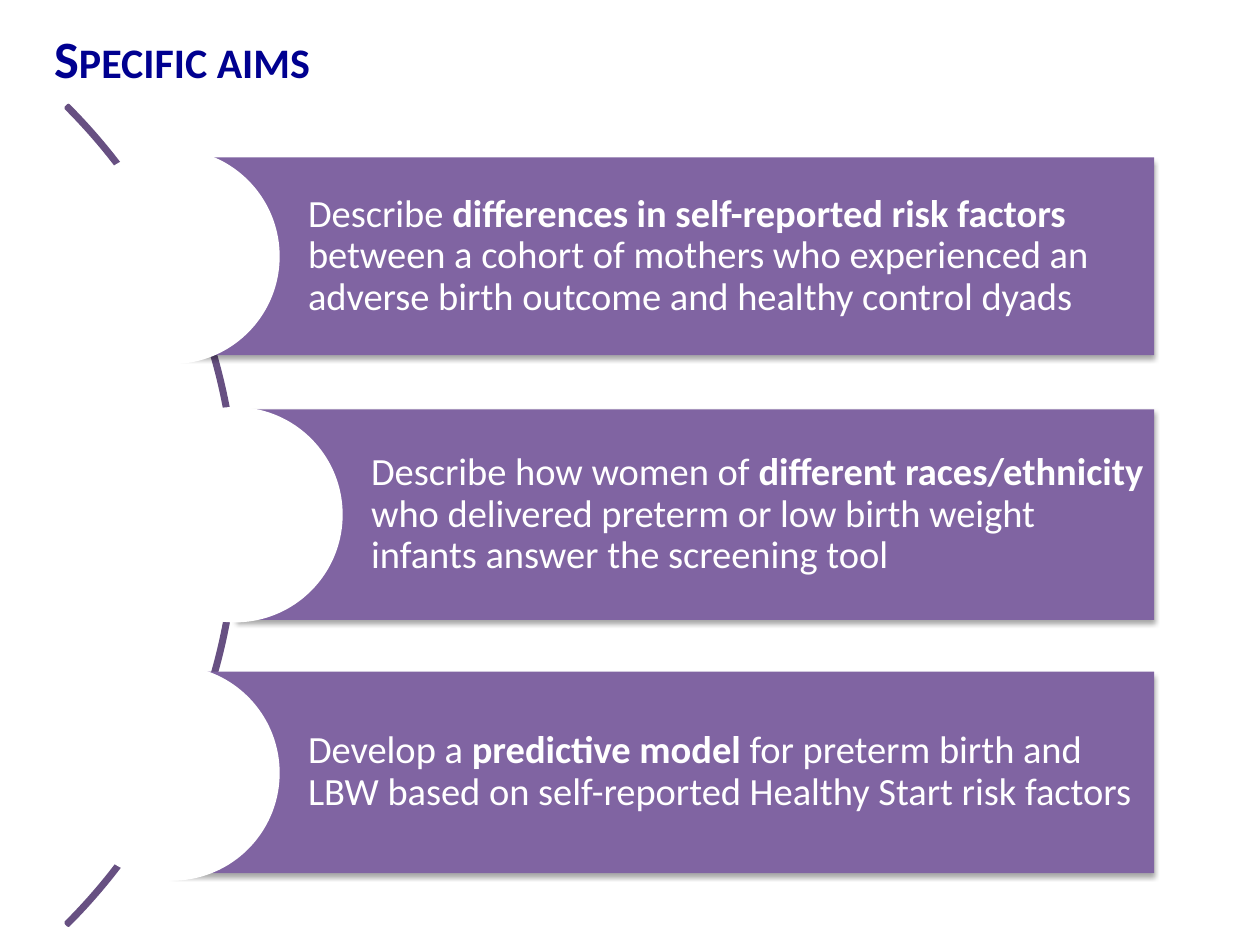
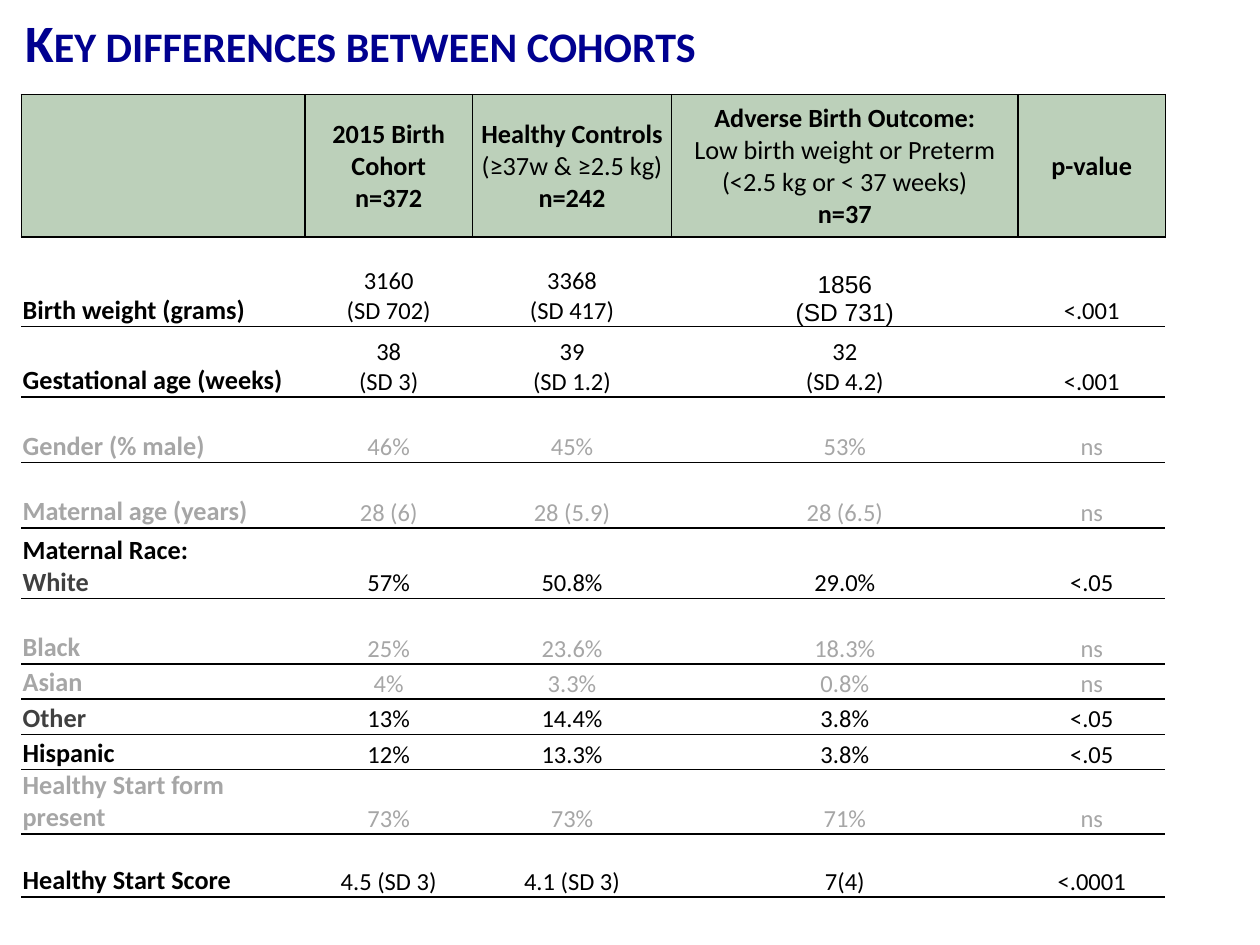
from lxml import etree
from pptx import Presentation
from pptx.dml.color import RGBColor
from pptx.enum.shapes import MSO_SHAPE
from pptx.enum.text import MSO_ANCHOR, PP_ALIGN
from pptx.oxml import parse_xml
from pptx.oxml.ns import nsdecls, qn
from pptx.util import Inches, Pt

ARC, RECT, DISC = MSO_SHAPE.BLOCK_ARC, MSO_SHAPE.RECTANGLE, MSO_SHAPE.OVAL
MIDDLE, BOTTOM = MSO_ANCHOR.MIDDLE, MSO_ANCHOR.BOTTOM
LEFT, CENTER = PP_ALIGN.LEFT, PP_ALIGN.CENTER

COLORS = {
    "navy": "000090", "plum": "8064A2", "arc": "675082", "sage": "BCD0BA",
    "white": "FFFFFF", "black": "000000", "dark": "404040", "grey": "A6A6A6",
}
TITLE = {"name": "Calibri", "size": Pt(30), "bold": True}
BODY = {"name": "Calibri", "size": Pt(22)}
LABEL = {"name": "Calibri", "size": Pt(15), "bold": True}
HEAD = {"name": "Calibri", "size": Pt(15)}
VALUE = {"name": "Calibri", "size": Pt(14)}

# Text between asterisks is bold.
AIMS = [  # disc left, band top, band height, text
    (0.51, 1.25, 1.57, "Describe *differences in self-reported risk factors *between a cohort "
     "of mothers who experienced an adverse birth outcome and healthy control dyads"),
    (1.01, 3.25, 1.67, "Describe how women of *different races/ethnicity *who delivered "
     "preterm or low birth weight infants answer the screening tool"),
    (0.51, 5.33, 1.6, "Develop a *predictive model *for preterm birth and LBW based on "
     "self-reported Healthy Start risk factors"),
]
DISC_TOP, DISC_STEP, DISC_SIZE, BAND_END = 1.18, 2.05, 1.71, 9.16

COLS = [2.25, 1.33, 1.58, 2.75, 1.17]
HEADS = [
    "",
    "*2015 Birth Cohort*\n*n=372*",
    "*Healthy Controls*\n(≥37w & ≥2.5 kg)\n*n=242*",
    "*Adverse Birth Outcome:*\nLow birth weight or Preterm\n(<2.5 kg or < 37 weeks)\n*n=37*",
    "*p-value*",
]
HEAD_TALL = 1.13
ROWS = [  # height, label, colour of the label, values
    (0.71, "Birth weight (grams)", "black",
     ["3160\n(SD 702)", "3368\n(SD 417)", "1856\n(SD 731)", "<.001"]),
    (0.56, "Gestational age (weeks)", "black",
     ["38\n(SD 3)", "39\n(SD 1.2)", "32\n(SD 4.2)", "<.001"]),
    (0.52, "Gender (% male)", "grey", ["46%", "45%", "53%", "ns"]),
    (0.52, "Maternal age (years)", "grey", ["28 (6)", "28 (5.9)", "28 (6.5)", "ns"]),
    (0.56, "Maternal Race:\nWhite", "dark", ["57%", "50.8%", "29.0%", "<.05"]),
    (0.52, "Black", "grey", ["25%", "23.6%", "18.3%", "ns"]),
    (0.28, "Asian", "grey", ["4%", "3.3%", "0.8%", "ns"]),
    (0.28, "Other", "dark", ["13%", "14.4%", "3.8%", "<.05"]),
    (0.28, "Hispanic", "black", ["12%", "13.3%", "3.8%", "<.05"]),
    (0.51, "Healthy Start form present", "grey", ["73%", "73%", "71%", "ns"]),
    (0.5, "Healthy Start Score", "black", ["4.5 (SD 3)", "4.1 (SD 3)", "7(4)", "<.0001"]),
]


def color(name):
    return RGBColor.from_string(COLORS[name])


def apply(target, values):
    for key, value in values.items():
        setattr(target, key, value)


def margins(*sides):
    names = ("margin_left", "margin_top", "margin_right", "margin_bottom")
    return {name: Inches(side) for name, side in zip(names, sides)}


def write(frame, text, style, tone, align=LEFT):
    """Fill a frame, one paragraph a line, with bold text between asterisks."""
    for i, line in enumerate(text.split("\n")):
        para = frame.paragraphs[0] if i == 0 else frame.add_paragraph()
        para.alignment = align
        for j, part in enumerate(line.split("*")):
            if part:
                run = para.add_run()
                run.text = part
                apply(run.font, {"bold": j % 2 == 1, **style})
                run.font.color.rgb = color(tone)


def add_slide(deck, title, left, top, width, height):
    slide = deck.slides.add_slide(deck.slide_layouts[5])
    box = slide.shapes.title
    apply(box, {"left": Inches(left), "top": Inches(top),
                "width": Inches(width), "height": Inches(height)})
    apply(box.text_frame, {"vertical_anchor": MIDDLE, "word_wrap": True})
    write(box.text_frame, title, TITLE, "navy")
    box.text_frame.paragraphs[0].runs[0].font._element.set("cap", "small")
    return slide


def add_shape(slide, kind, left, top, width, height, fill=None):
    shape = slide.shapes.add_shape(
        kind, Inches(left), Inches(top), Inches(width), Inches(height))
    shape.shadow.inherit = False
    shape.line.fill.background()
    if fill:
        shape.fill.solid()
        shape.fill.fore_color.rgb = color(fill)
    else:
        shape.fill.background()
    return shape


def add_arc(slide):
    arc = add_shape(slide, ARC, -7.31, -0.51, 9.2, 9.2)
    for i, value in enumerate((189, 27, 0.003)):
        arc.adjustments[i] = value
    arc.line.color.rgb = color("arc")
    arc.line.width = Pt(2)


def cast_shadow(shape):
    effects = shape._element.spPr.find(qn("a:effectLst"))
    effects.append(parse_xml(
        f'<a:outerShdw {nsdecls("a")} blurRad="{Pt(3.1)}" dist="{Pt(1.8)}" dir="5400000" '
        f'rotWithShape="0"><a:srgbClr val="{COLORS["black"]}"><a:alpha val="35000"/>'
        '</a:srgbClr></a:outerShdw>'))


def add_aim(slide, index, left, top, height, text):
    """Draw a band that starts at the centre of its disc."""
    start = left + DISC_SIZE / 2
    band = add_shape(slide, RECT, start, top, BAND_END - start, height, "plum")
    cast_shadow(band)
    frame = band.text_frame
    apply(frame, {"word_wrap": True, "vertical_anchor": MIDDLE,
                  **margins(1.08, 0.06, 0.06, 0.06)})
    write(frame, text, BODY, "white")
    frame.paragraphs[0].line_spacing = 0.9
    add_shape(slide, DISC, left, DISC_TOP + index * DISC_STEP, DISC_SIZE, DISC_SIZE, "white")


def set_borders(cell, shown):
    props = cell._tc.get_or_add_tcPr()
    for side in "LRTB":
        line = etree.SubElement(props, qn(f"a:ln{side}"), w=str(Pt(1)))
        if side in shown:
            fill = etree.SubElement(line, qn("a:solidFill"))
            etree.SubElement(fill, qn("a:srgbClr"), val=COLORS["black"])
        else:
            etree.SubElement(line, qn("a:noFill"))


def fill_head(cell, text):
    set_borders(cell, "LRTB")
    cell.fill.solid()
    cell.fill.fore_color.rgb = color("sage")
    apply(cell, {"vertical_anchor": MIDDLE, **margins(0.01, 0.01, 0.01, 0)})
    write(cell.text_frame, text, HEAD, "black", CENTER)


def fill_cell(cell, text, style, tone, align):
    set_borders(cell, "TB")
    cell.fill.background()
    apply(cell, {"vertical_anchor": BOTTOM, **margins(0.01, 0, 0.01, 0)})
    write(cell.text_frame, text, style, tone, align)


def add_cohorts(slide):
    tall = [HEAD_TALL] + [row[0] for row in ROWS]
    table = slide.shapes.add_table(
        len(tall), len(COLS), Inches(0.17), Inches(0.75),
        Inches(sum(COLS)), Inches(sum(tall))).table
    apply(table, {"first_row": False, "horz_banding": False})
    for col, width in zip(table.columns, COLS):
        col.width = Inches(width)
    for row, height in zip(table.rows, tall):
        row.height = Inches(height)
    for c, text in enumerate(HEADS):
        fill_head(table.cell(0, c), text)
    for r, (_, label, tone, values) in enumerate(ROWS, 1):
        name = table.cell(r, 0)
        fill_cell(name, label, LABEL, tone, LEFT)
        for para in name.text_frame.paragraphs[:-1]:
            para.runs[0].font.color.rgb = color("black")
        shade = "grey" if tone == "grey" else "black"
        for c, value in enumerate(values, 1):
            face = "Arial" if (r, c) == (1, 3) else "Calibri"
            fill_cell(table.cell(r, c), value, {**VALUE, "name": face}, shade, CENTER)


def main():
    deck = Presentation()
    apply(deck, {"slide_width": Inches(10), "slide_height": Inches(7.5)})

    slide = add_slide(deck, "Specific aims", 0.33, 0.17, 6.42, 0.58)
    add_arc(slide)
    for i, aim in enumerate(AIMS):
        add_aim(slide, i, *aim)

    slide = add_slide(deck, "Key differences between cohorts", 0.1, 0.08, 8.17, 0.5)
    add_cohorts(slide)

    deck.save("out.pptx")


if __name__ == "__main__":
    main()
